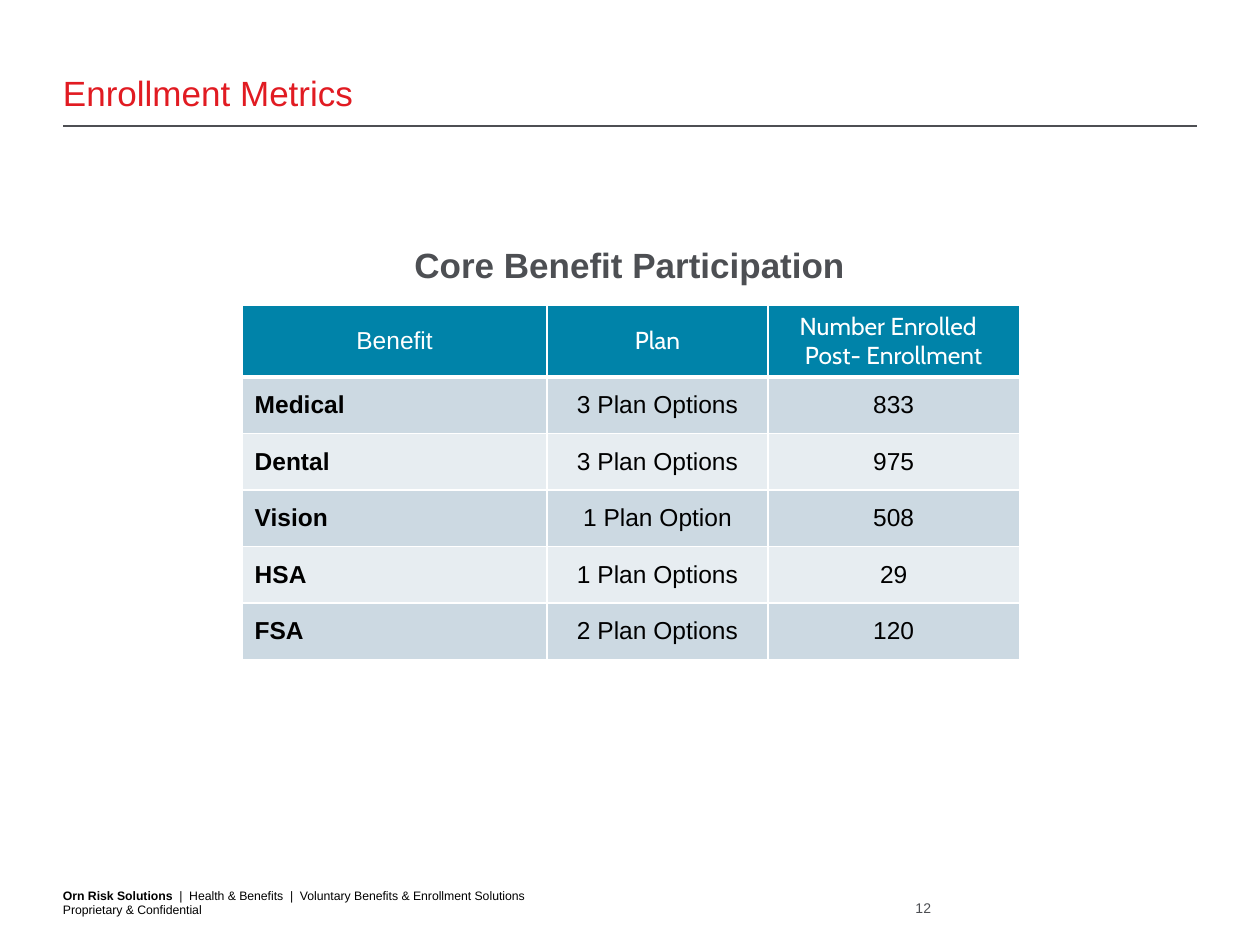
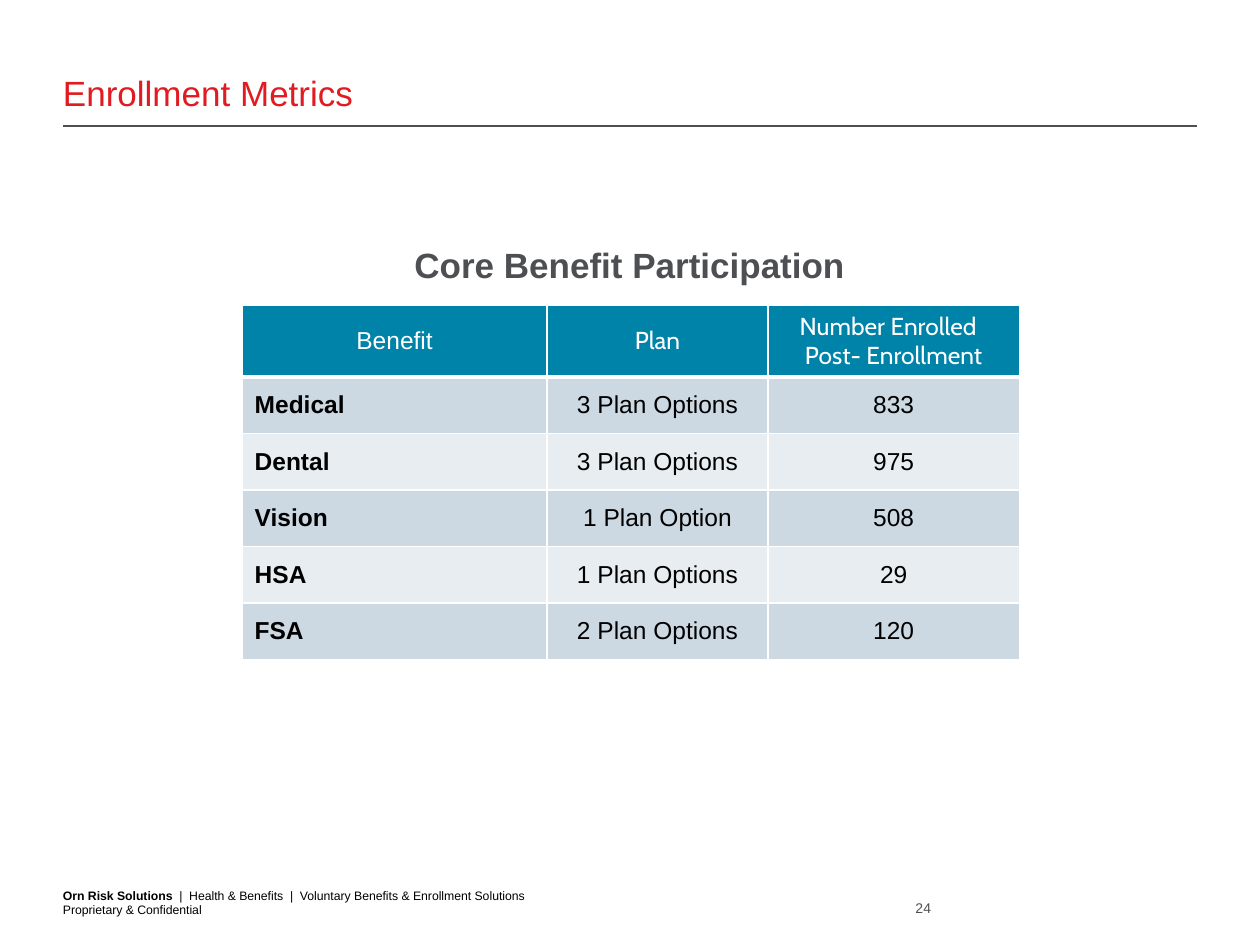
from lxml.etree import SubElement
from pptx import Presentation
from pptx.dml.color import RGBColor
from pptx.enum.shapes import MSO_CONNECTOR
from pptx.enum.text import MSO_ANCHOR, PP_ALIGN
from pptx.oxml.ns import qn
from pptx.util import Cm, Pt

RED, GREY, TEAL = "E11B22", "4D4F53", "0083A9"
WHITE, BLACK = "FFFFFF", "000000"
BANDS = ("CCD9E2", "E7EDF1")
MARGIN, CONTENT_WIDTH = 1.27, 22.86
COLUMN_WIDTHS = (6.15, 4.45, 5.07)
HEADER_HEIGHT, ROW_HEIGHT = 1.45, 1.14
HEADERS = (("Benefit", "Arial"), ("Plan", "Cabin"),
           ("Number Enrolled  \nPost- Enrollment", "Cabin"))
ENROLLMENT = (
    ("Medical", "3 Plan Options", "833"),
    ("Dental", "3 Plan Options", "975"),
    ("Vision", "1 Plan Option", "508"),
    ("HSA", "1 Plan Options", "29"),
    ("FSA", "2 Plan Options", "120"),
)


def colour(value):
    """Turn a hex string into a colour."""
    return RGBColor.from_string(value)


def add_span(para, text, size=14, ink=BLACK, bold=False, font="Arial"):
    """Add formatted text to a paragraph."""
    span = para.add_run()
    span.text = text
    span.font.name = font
    span.font.size = Pt(size)
    span.font.bold = bold
    span.font.color.rgb = colour(ink)


def write(frame, text, align=PP_ALIGN.LEFT, spacing=None, **style):
    """Fill a text frame with one paragraph for each line of text."""
    for index, line in enumerate(text.split("\n")):
        para = frame.add_paragraph() if index else frame.paragraphs[0]
        para.alignment = align
        para.line_spacing = spacing
        add_span(para, line, **style)


def add_box(page, left, top, width, height, inset=True):
    """Add a wrapping text box and return its frame."""
    frame = page.shapes.add_textbox(Cm(left), Cm(top), Cm(width), Cm(height)).text_frame
    frame.word_wrap = True
    if not inset:
        frame.vertical_anchor = MSO_ANCHOR.BOTTOM
        frame.margin_left = frame.margin_right = 0
        frame.margin_top = frame.margin_bottom = 0
    return frame


def add_title(page, text):
    """Add the slide title and the rule below it."""
    rule = page.shapes.add_connector(
        MSO_CONNECTOR.STRAIGHT, Cm(MARGIN), Cm(2.54), Cm(MARGIN + CONTENT_WIDTH), Cm(2.54))
    rule.line.color.rgb = colour(GREY)
    rule.line.width = Pt(0.75)
    SubElement(rule._element.spPr, qn("a:effectLst"))
    frame = add_box(page, MARGIN, 0.84, CONTENT_WIDTH, 1.45, inset=False)
    write(frame, text, size=20, ink=RED)


def add_footer(page, number):
    """Add the company line and the page number."""
    frame = add_box(page, MARGIN, 17.88, 16.76, 0.61, inset=False)
    para = frame.paragraphs[0]
    add_span(para, "Orn Risk Solutions  ", size=7, bold=True)
    add_span(para, "|  Health & Benefits  |  Voluntary Benefits & Enrollment Solutions", size=7)
    para.add_line_break()
    add_span(para, "Proprietary & Confidential", size=7)
    frame = add_box(page, 17.78, 18.14, 0.99, 0.33, inset=False)
    write(frame, str(number), align=PP_ALIGN.RIGHT, size=8, ink=GREY)


def set_borders(cell, bottom=1):
    """Draw white borders around a cell."""
    properties = cell._tc.get_or_add_tcPr()
    for side, width in (("L", 1), ("R", 1), ("T", 1), ("B", bottom)):
        line = SubElement(properties, qn(f"a:ln{side}"), w=str(Pt(width)))
        fill = SubElement(line, qn("a:solidFill"))
        SubElement(fill, qn("a:srgbClr"), val=WHITE)


def fill_cell(cell, text, fill, bottom=1, **style):
    """Set the borders, fill and text of a cell."""
    set_borders(cell, bottom)
    cell.fill.solid()
    cell.fill.fore_color.rgb = colour(fill)
    cell.vertical_anchor = MSO_ANCHOR.MIDDLE
    write(cell.text_frame, text, **style)


def add_enrollment_table(page):
    """Add the table of plans and enrolled people."""
    height = HEADER_HEIGHT + ROW_HEIGHT * len(ENROLLMENT)
    table = page.shapes.add_table(
        len(ENROLLMENT) + 1, len(HEADERS), Cm(4.88), Cm(6.15),
        Cm(sum(COLUMN_WIDTHS)), Cm(height)).table
    table.horz_banding = False
    for column, width in zip(table.columns, COLUMN_WIDTHS):
        column.width = Cm(width)
    for index, row in enumerate(table.rows):
        row.height = Cm(ROW_HEIGHT if index else HEADER_HEIGHT)
    for column, (text, font) in enumerate(HEADERS):
        fill_cell(table.cell(0, column), text, TEAL, bottom=3,
                  align=PP_ALIGN.CENTER, ink=WHITE, font=font)
    for row, values in enumerate(ENROLLMENT):
        for column, text in enumerate(values):
            fill_cell(table.cell(row + 1, column), text, BANDS[row % 2], bold=column == 0,
                      align=PP_ALIGN.CENTER if column else PP_ALIGN.LEFT)


def add_metrics_page(deck, number):
    """Add one enrollment metrics slide."""
    page = deck.slides.add_slide(deck.slide_layouts[6])
    add_title(page, "Enrollment Metrics")
    add_footer(page, number)
    add_enrollment_table(page)
    write(add_box(page, 5.66, 4.7, 14.07, 1.19), "Core Benefit Participation",
          align=PP_ALIGN.CENTER, spacing=1.1, size=20, ink=GREY, bold=True)


def main():
    """Build and save the deck."""
    deck = Presentation()
    deck.slide_width, deck.slide_height = Cm(25.4), Cm(19.05)
    for number in (12, 24):
        add_metrics_page(deck, number)
    deck.save("out.pptx")


if __name__ == "__main__":
    main()
